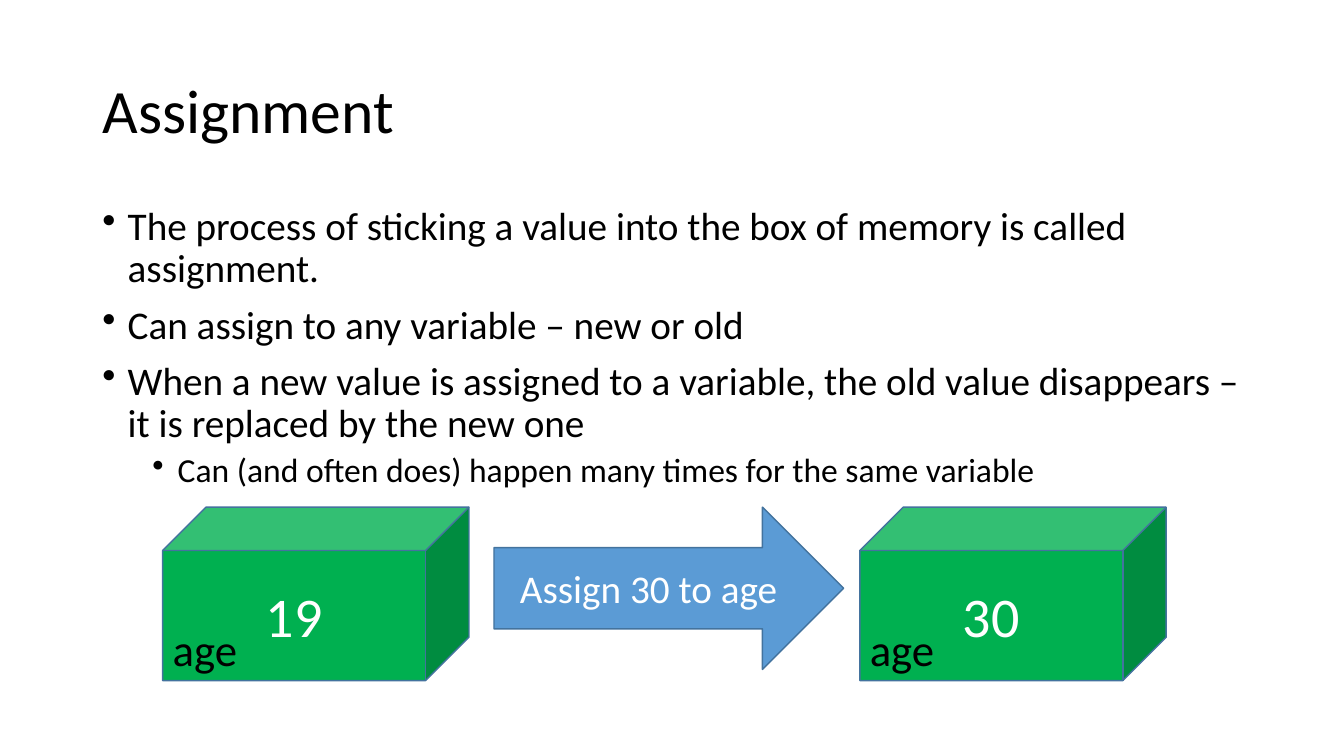
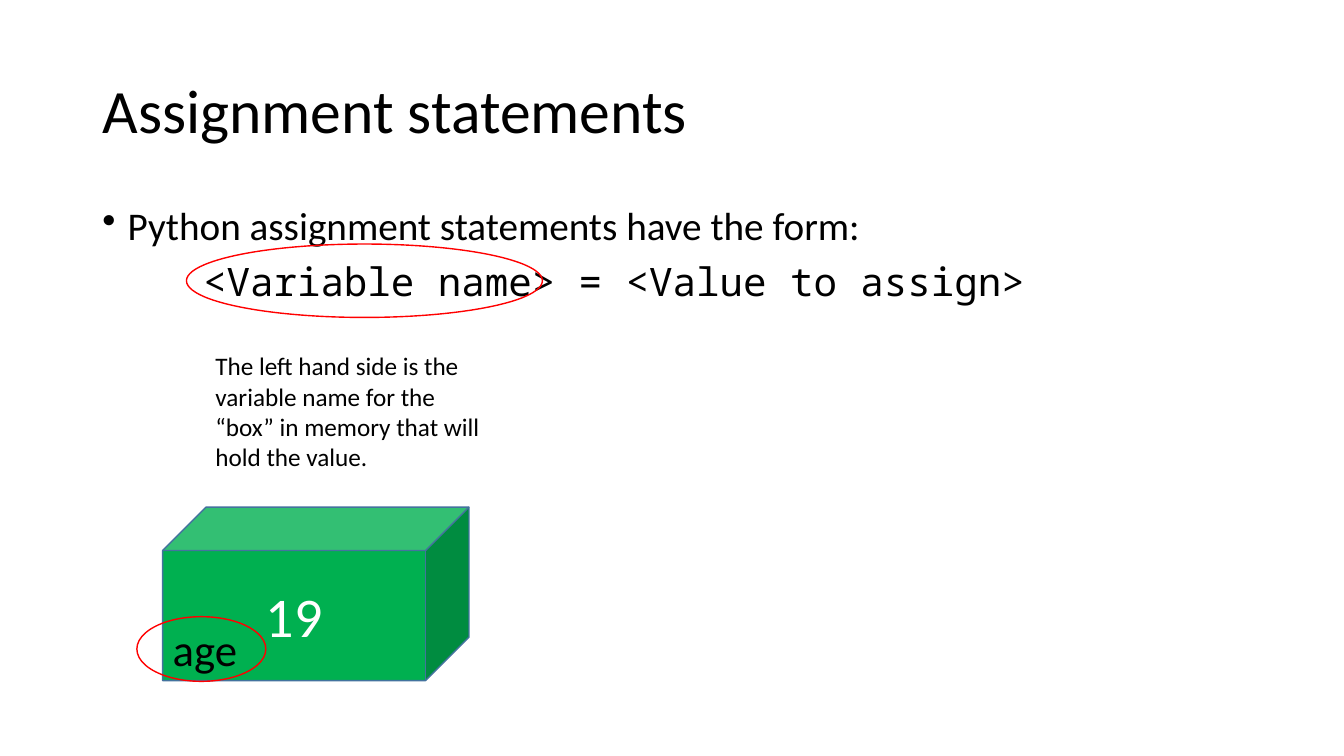
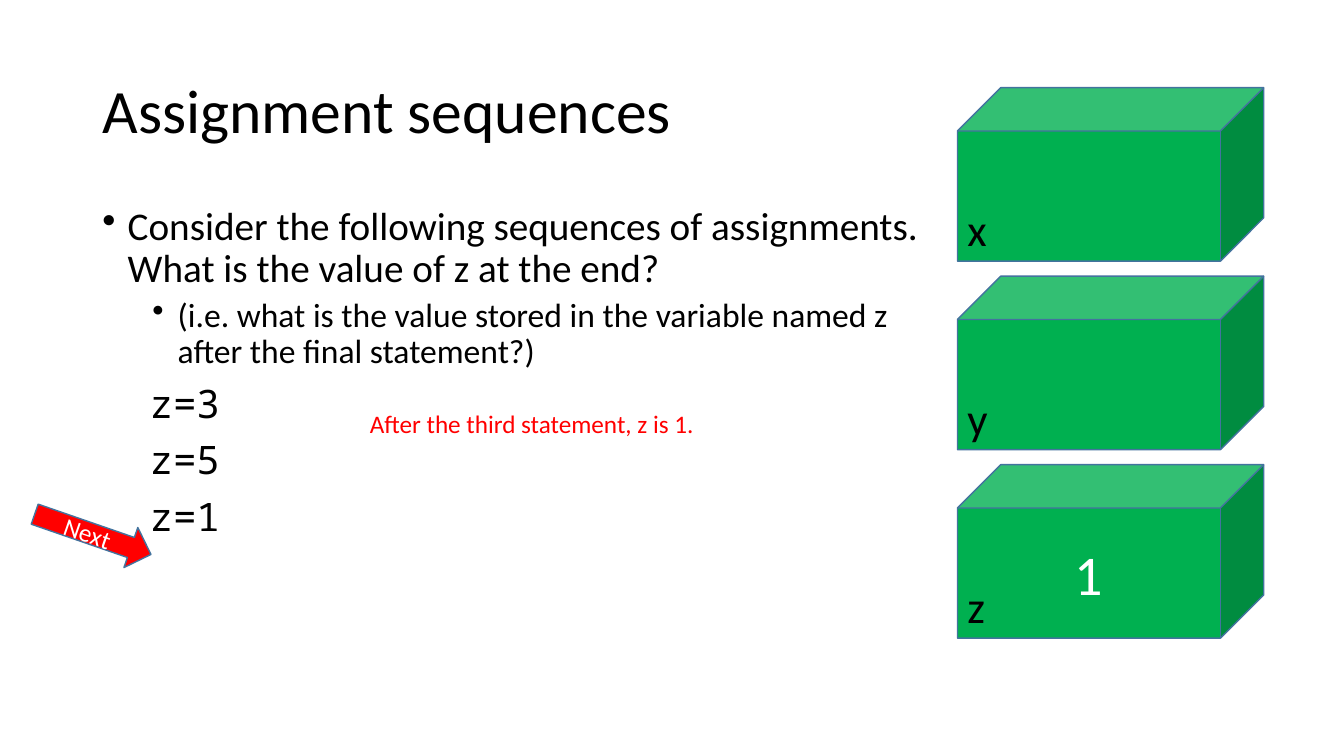
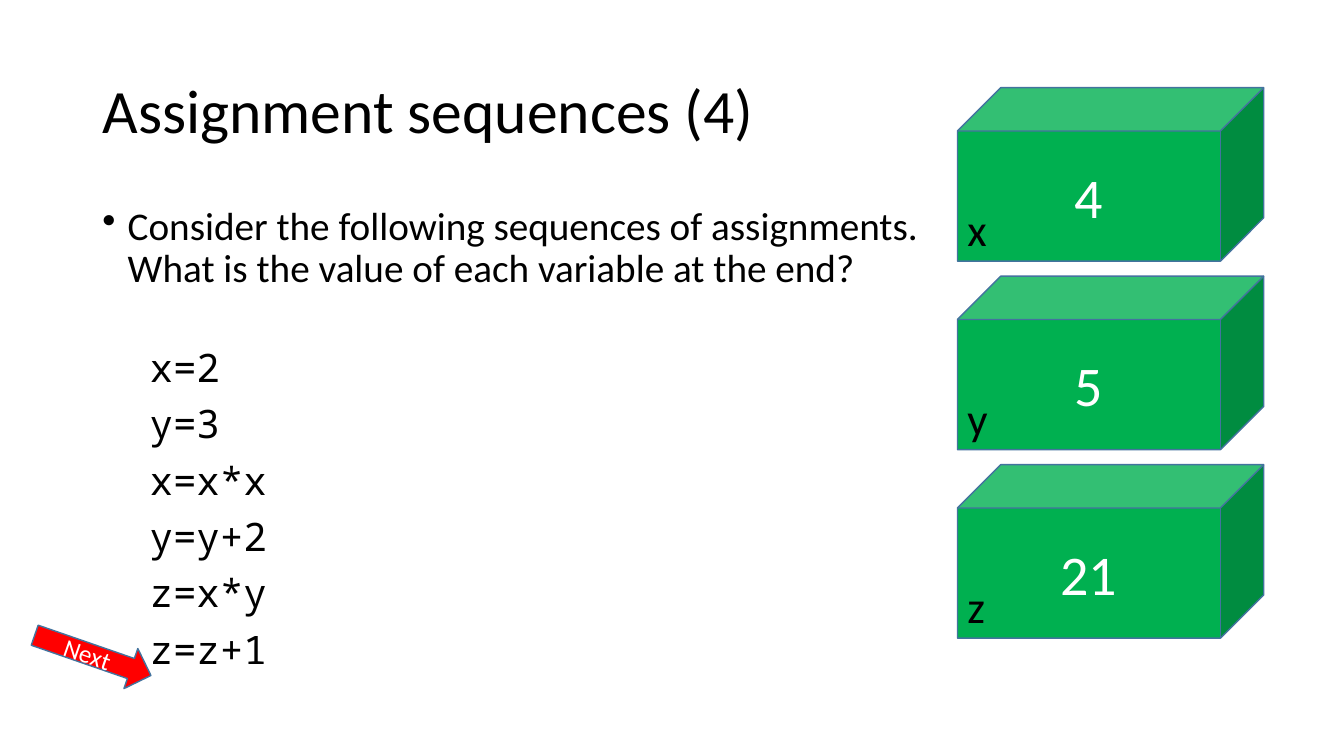
from dataclasses import dataclass

from lxml import etree
from pptx import Presentation
from pptx.dml.color import RGBColor
from pptx.enum.shapes import MSO_SHAPE
from pptx.enum.text import MSO_ANCHOR, MSO_AUTO_SIZE, PP_ALIGN
from pptx.oxml.ns import qn
from pptx.util import Cm, Pt

CUBE, ARROW, OVAL = MSO_SHAPE.CUBE, MSO_SHAPE.RIGHT_ARROW, MSO_SHAPE.OVAL
LEFT, CENTER = PP_ALIGN.LEFT, PP_ALIGN.CENTER
MIDDLE, TOP = MSO_ANCHOR.MIDDLE, MSO_ANCHOR.TOP
NO_FIT = MSO_AUTO_SIZE.NONE
TITLE_ONLY = 5


@dataclass(frozen=True)
class Theme:
    """Colours, fonts and type sizes of the whole deck."""
    ink: RGBColor = RGBColor(0, 0, 0)
    paper: RGBColor = RGBColor(255, 255, 255)
    box: RGBColor = RGBColor(0x00, 0xB0, 0x50)
    arrow: RGBColor = RGBColor(0x5B, 0x9B, 0xD5)
    edge: RGBColor = RGBColor(0x43, 0x73, 0x9E)
    mark: RGBColor = RGBColor(0xFF, 0, 0)
    font: str = "Calibri"
    mono: str = "Noto Sans Mono"
    title: int = 44
    value: int = 40
    name: int = 32
    body: int = 28
    sub: int = 24
    note: int = 18


T = Theme()

# Paragraph styles; margins and hanging indents in cm, spacing in points
CODE = dict(size=T.body, font=T.mono, spacing=0.9, before=10, margin=1.19)
STYLES = {
    "bullet": dict(size=T.body, spacing=0.9, before=10, margin=0.64, hang=0.64,
                   bullet="•"),
    "sub": dict(size=T.sub, spacing=0.9, before=5, margin=1.9, hang=0.64,
                bullet="•", level=1),
    "code": CODE,
    "code after gap": {**CODE, "before": 41},
    "form": {**CODE, "margin": 2.54},
}

# Content: places are (left, top, width, height) in cm
WIDE, NARROW = (2.33, 5.08, 29.21, 12.09), (2.33, 5.08, 21.29, 12.09)
SHORT = (2.33, 5.08, 29.21, 3.45)
CUBE_W, CUBE_H, NAME_H = 7.72, 4.37, 1.62
OLD_BOX, NEW_BOX = (4.1, 12.78), (21.67, 12.78)
STACK_LEFT, STACK_TOP, STACK_STEP = 24.13, 2.21, 4.75
QUESTION = "Consider the following sequences of assignments.  What is the value of "


def stack(*values):
    """Place the boxes x, y and z below each other."""
    return [((STACK_LEFT, STACK_TOP + i * STACK_STEP), name, value)
            for i, (name, value) in enumerate(zip("xyz", values))]


SLIDES = [
    dict(
        title="Assignment", place=WIDE,
        body=[
            ("bullet", "The process of sticking a value into the box of memory "
                       "is called assignment."),
            ("bullet", "Can assign to any variable – new or old"),
            ("bullet", "When a new value is assigned to a variable, the old value "
                       "disappears – it is replaced by the new one"),
            ("sub", "Can (and often does) happen many times for the same variable"),
        ],
        boxes=[(OLD_BOX, "age", "19"), (NEW_BOX, "age", "30")],
        arrow=("Assign 30 to age", (12.45, 12.78, 8.81, 4.09), T.arrow, T.body, 0),
    ),
    dict(
        title="Assignment statements", place=SHORT,
        body=[
            ("bullet", "Python assignment statements have the form:"),
            ("form", "<Variable name> = <Value to assign>"),
        ],
        boxes=[(OLD_BOX, "age", "19")],
        note=("The left hand side is the variable name for the “box” in memory "
              "that will hold the value.", (5.18, 8.71, 7.42, 3.33), T.ink),
        rings=[(3.45, 15.54, 3.25, 1.63), (4.7, 6.15, 8.97, 1.85)],
    ),
    dict(
        title="Assignment sequences", place=NARROW,
        body=[
            ("bullet", QUESTION + "z at the end?"),
            ("sub", "(i.e. what is the value stored in the variable named z "
                    "after the final statement?)"),
            ("code", "z=3"), ("code", "z=5"), ("code", "z=1"),
        ],
        boxes=stack("", "", "1"),
        arrow=("Next", (0.79, 12.93, 3.1, 1.07), T.mark, T.note, 19.1),
        note=("After the third statement, z is 1.", (9.07, 10.16, 8.89, 1.02), T.mark),
    ),
    dict(
        title="Assignment sequences (4)", place=NARROW,
        body=[
            ("bullet", QUESTION + "each variable at the end?"),
            ("code after gap", "x=2"), ("code", "y=3"), ("code", "x=x*x"),
            ("code", "y=y+2"), ("code", "z=x*y"), ("code", "z=z+1"),
        ],
        boxes=stack("4", "5", "21"),
        arrow=("Next", (0.79, 15.98, 3.1, 1.07), T.mark, T.note, 19.1),
    ),
]


def cm(place):
    """Turn a tuple of centimetres into lengths."""
    return [Cm(v) for v in place]


def write(tf, text, size=T.body, color=T.ink, font=T.font, align=LEFT, spacing=1.0,
          before=0, margin=0, hang=0, bullet=None, level=0):
    """Add one formatted paragraph to a text frame."""
    p = tf.add_paragraph() if tf.text else tf.paragraphs[0]
    p.alignment, p.level = align, level
    p.line_spacing, p.space_before = spacing, Pt(before)
    pPr = p._p.get_or_add_pPr()
    pPr.set("marL", str(Cm(margin)))
    pPr.set("indent", str(-Cm(hang)))
    if bullet:
        etree.SubElement(pPr, qn("a:buChar")).set("char", bullet)
    r = p.add_run()
    r.text = text
    r.font.size, r.font.name = Pt(size), font
    r.font.color.rgb = color


def add_text(shapes, place, wrap=True):
    """Add a text box and return its text frame."""
    tf = shapes.add_textbox(*cm(place)).text_frame
    tf.word_wrap, tf.vertical_anchor = wrap, TOP
    return tf


def add_shape(shapes, kind, place, fill=None, line=T.edge, text="", size=T.body):
    """Add a flat preset shape with an optional centred text."""
    sp = shapes.add_shape(kind, *cm(place))
    sp.shadow.inherit = False
    if fill is None:
        sp.fill.background()
    else:
        sp.fill.solid()
        sp.fill.fore_color.rgb = fill
    sp.line.color.rgb, sp.line.width = line, Pt(1)
    if text:
        sp.text_frame.vertical_anchor = MIDDLE
        write(sp.text_frame, text, size=size, color=T.paper, align=CENTER)
    return sp


def add_box(s, corner, name, value):
    """Add a memory box: a cube with its value and variable name."""
    left, top = corner
    shapes = s.shapes.add_group_shape().shapes
    add_shape(shapes, CUBE, (left, top, CUBE_W, CUBE_H), T.box, text=value, size=T.value)
    name_w = 0.45 + 0.57 * len(name)
    tf = add_text(shapes, (left, top + CUBE_H - NAME_H, name_w, NAME_H), wrap=False)
    write(tf, name, size=T.name)


def add_title(s, text):
    """Place and format the title placeholder."""
    sp = s.shapes.title
    sp.left, sp.top, sp.width, sp.height = cm((2.33, 1.02, 29.21, 3.68))
    tf = sp.text_frame
    tf.auto_size, tf.vertical_anchor = NO_FIT, MIDDLE
    write(tf, text, size=T.title, spacing=0.9)


def build_slide(prs, title, place, body, boxes, arrow=None, note=None, rings=()):
    """Build one slide from its content."""
    s = prs.slides.add_slide(prs.slide_layouts[TITLE_ONLY])
    add_title(s, title)
    tf = add_text(s.shapes, place)
    for style, text in body:
        write(tf, text, **STYLES[style])
    for box in boxes:
        add_box(s, *box)
    if arrow:
        text, spot, fill, size, angle = arrow
        add_shape(s.shapes, ARROW, spot, fill, text=text, size=size).rotation = angle
    if note:
        text, spot, color = note
        write(add_text(s.shapes, spot), text, size=T.note, color=color)
    for ring in rings:
        add_shape(s.shapes, OVAL, ring, line=T.mark)


prs = Presentation()
prs.slide_width, prs.slide_height = Cm(33.87), Cm(19.05)
for content in SLIDES:
    build_slide(prs, **content)
prs.save("out.pptx")
